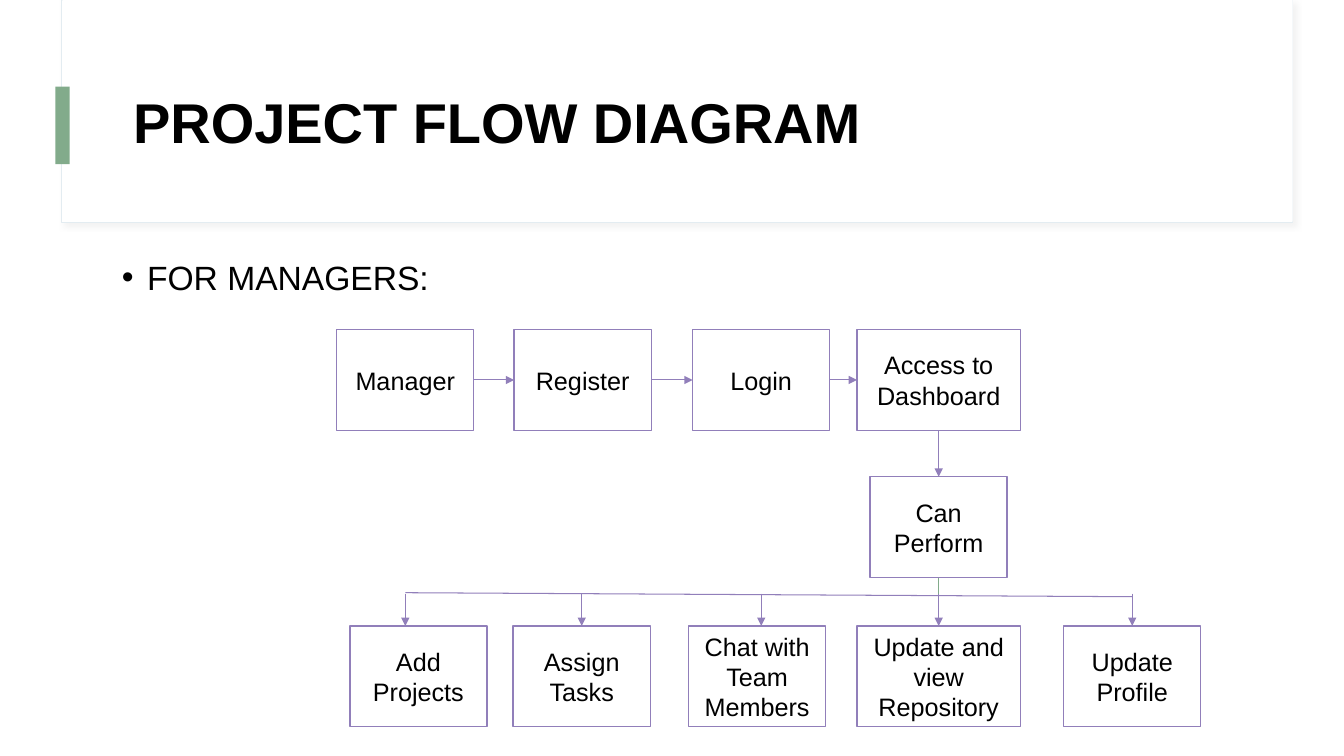
import pptx
import pptx.util
import pptx.dml.color
import pptx.enum.shapes
import pptx.enum.text
import pptx.oxml
import pptx.oxml.ns

Inches = pptx.util.Inches
Pt = pptx.util.Pt
RGBColor = pptx.dml.color.RGBColor
ALIGN = pptx.enum.text.PP_ALIGN
ANCHOR = pptx.enum.text.MSO_ANCHOR

BLACK = RGBColor(0x00, 0x00, 0x00)
WHITE = RGBColor(0xFF, 0xFF, 0xFF)
PURPLE = RGBColor(0x91, 0x7F, 0xBA)
GREEN = RGBColor(0x82, 0xAB, 0x8B)
PALE = RGBColor(0xE3, 0xEC, 0xF1)

NS = pptx.oxml.ns.nsdecls("a")
SOFT_SHADOW = (
    f'<a:effectLst {NS}><a:outerShdw blurRad="50800" dist="38100" dir="2700000" algn="tl" rotWithShape="0">'
    '<a:srgbClr val="D8D8D8"><a:alpha val="30000"/></a:srgbClr></a:outerShdw></a:effectLst>'
)


class FlowSlide:
    font = "Arial"
    step_width, step_height = 1.36, 1

    def __init__(self, deck):
        self.slide = deck.slides.add_slide(deck.slide_layouts[5])
        self.shapes = self.slide.shapes

    def set_text(self, frame, text, size, align, anchor, bold=False):
        frame.word_wrap = True
        frame.auto_size = pptx.enum.text.MSO_AUTO_SIZE.NONE
        frame.vertical_anchor = anchor
        paragraph = frame.paragraphs[0]
        paragraph.alignment = align
        run = paragraph.add_run()
        run.text = text
        run.font.name = self.font
        run.font.size = Pt(size)
        run.font.bold = bold
        run.font.color.rgb = BLACK
        return paragraph

    def panel(self, left, top, width, height, fill, line=None, weight=0.75):
        rect = self.shapes.add_shape(
            pptx.enum.shapes.MSO_SHAPE.RECTANGLE,
            Inches(left), Inches(top), Inches(width), Inches(height))
        rect.shadow.inherit = False
        rect.fill.solid()
        rect.fill.fore_color.rgb = fill
        if line is None:
            rect.line.fill.background()
        else:
            rect.line.color.rgb = line
            rect.line.width = Pt(weight)
        return rect

    def soften(self, panel):
        properties = panel._element.spPr
        properties.remove(properties.find(pptx.oxml.ns.qn("a:effectLst")))
        properties.append(pptx.oxml.parse_xml(SOFT_SHADOW))

    def title(self, text, left, top, width, height):
        heading = self.shapes.title
        heading.left, heading.top = Inches(left), Inches(top)
        heading.width, heading.height = Inches(width), Inches(height)
        paragraph = self.set_text(heading.text_frame, text, 40, ALIGN.LEFT, ANCHOR.MIDDLE, bold=True)
        paragraph.line_spacing = 0.9
        self.shapes._spTree.append(heading._element)

    def bullet(self, text, left, top, width, height):
        box = self.shapes.add_textbox(Inches(left), Inches(top), Inches(width), Inches(height))
        paragraph = self.set_text(box.text_frame, text, 24, ALIGN.LEFT, ANCHOR.TOP)
        paragraph.line_spacing = 1.1
        properties = paragraph._p.get_or_add_pPr()
        properties.set("marL", str(Inches(0.25)))
        properties.set("indent", str(-Inches(0.25)))
        for mark in (f'<a:buClr {NS}><a:srgbClr val="{BLACK}"/></a:buClr>',
                     f'<a:buFont {NS} typeface="{self.font}"/>',
                     f'<a:buChar {NS} char="•"/>'):
            properties.append(pptx.oxml.parse_xml(mark))

    def step(self, text, left, top, width=step_width):
        box = self.panel(left, top, width, self.step_height, WHITE, PURPLE, 1)
        self.set_text(box.text_frame, text, 18, ALIGN.CENTER, ANCHOR.MIDDLE)
        return box

    def connect(self, start, end, source=None, target=None, color=PURPLE, weight=0.75, arrow=True):
        line = self.shapes.add_connector(
            pptx.enum.shapes.MSO_CONNECTOR.STRAIGHT,
            Inches(start[0]), Inches(start[1]), Inches(end[0]), Inches(end[1]))
        if source:
            line.begin_connect(*source)
        if target:
            line.end_connect(*target)
        line.line.color.rgb = color
        line.line.width = Pt(weight)
        if arrow:
            line.line._get_or_add_ln().append(
                pptx.oxml.parse_xml(f'<a:tailEnd {NS} type="triangle"/>'))
        line._element.spPr.append(pptx.oxml.parse_xml(f"<a:effectLst {NS}/>"))


def main():
    deck = pptx.Presentation()
    deck.slide_width, deck.slide_height = Inches(13.33), Inches(7.5)
    flow = FlowSlide(deck)

    flow.soften(flow.panel(0.61, 0, 12.21, 2.21, WHITE, PALE))
    flow.panel(0.62, 0, 12.2, 2.2, WHITE)
    flow.panel(0.55, 0.86, 0.14, 0.77, GREEN)
    flow.title("PROJECT FLOW DIAGRAM", 1.22, 0.6, 11.12, 1.29)
    flow.bullet("FOR MANAGERS:", 1.11, 2.46, 11.12, 4.91)

    wide = 1.62
    entry_top, action_top = 3.27, 6.21
    manager = flow.step("Manager", 3.34, entry_top)
    register = flow.step("Register", 5.1, entry_top)
    login = flow.step("Login", 6.87, entry_top)
    dashboard = flow.step("Access to Dashboard", 8.5, entry_top, wide)
    perform = flow.step("Can Perform", 8.63, 4.73)

    actions = [
        ("Add Projects", 3.47, flow.step_width, 4.02),
        ("Assign Tasks", 5.09, flow.step_width, 5.77),
        ("Chat with Team Members", 6.83, flow.step_width, 7.55),
        ("Update and view Repository", 8.5, wide, 9.31),
        ("Update Profile", 10.55, flow.step_width, 11.23),
    ]
    action_boxes = [flow.step(text, left, action_top, width) for text, left, width, _ in actions]

    entry = [manager, register, login, dashboard]
    for source, target in zip(entry, entry[1:]):
        flow.connect((0, 0), (0, 0), (source, 3), (target, 1))
    flow.connect((0, 0), (0, 0), (dashboard, 2), (perform, 0), weight=1)

    flow.connect((9.31, 5.73), (9.31, 5.91), source=(perform, 2), color=GREEN, arrow=False)
    flow.connect((4.02, 5.88), (11.23, 5.92), arrow=False)
    for box, (_, left, width, drop) in zip(action_boxes, actions):
        centred = abs(left + width / 2 - drop) < 0.01
        flow.connect((drop, 5.89), (drop, action_top), target=(box, 0) if centred else None)

    deck.save("out.pptx")


if __name__ == "__main__":
    main()
